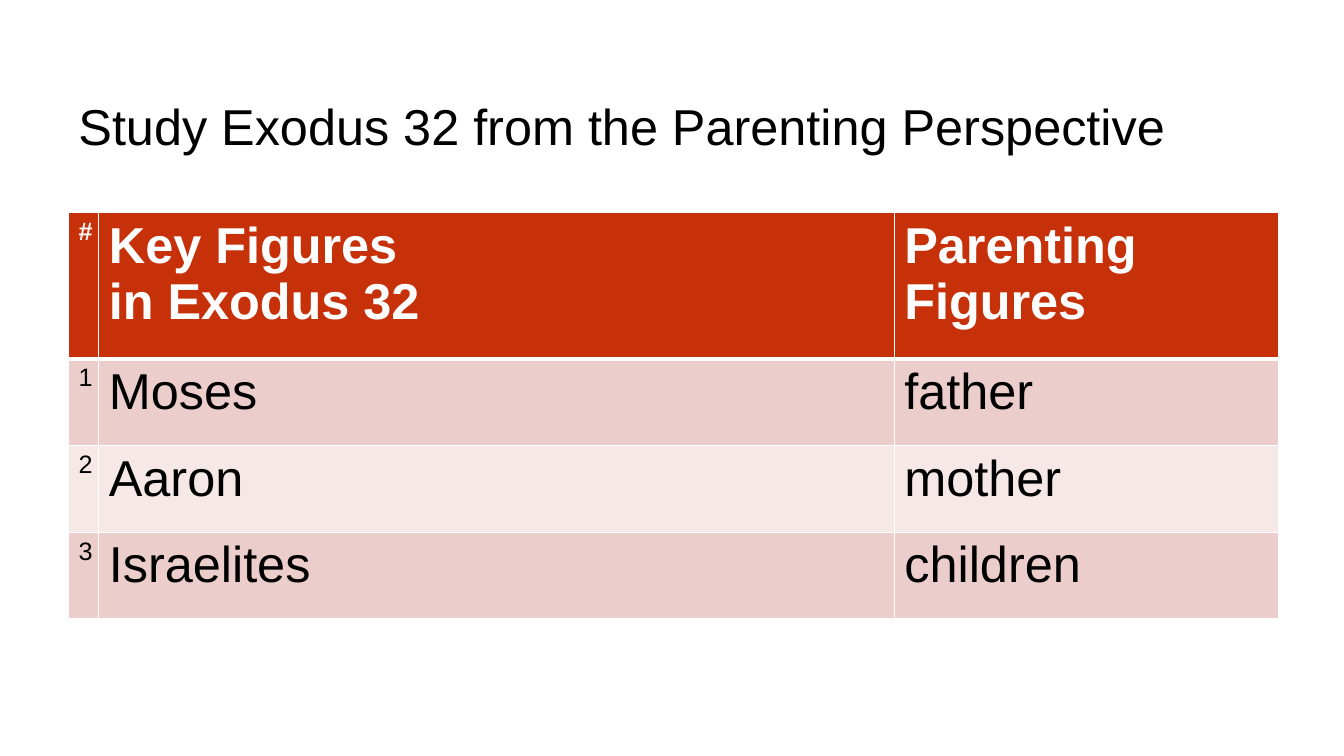
from lxml.etree import SubElement
from pptx import Presentation
from pptx.dml.color import RGBColor
from pptx.enum.text import MSO_ANCHOR
from pptx.oxml.ns import qn
from pptx.util import Inches, Pt

BLACK = RGBColor(0x00, 0x00, 0x00)
WHITE = RGBColor(0xFF, 0xFF, 0xFF)
RED = RGBColor(0xC7, 0x31, 0x09)
PINK = RGBColor(0xEB, 0xCE, 0xCC)
PALE = RGBColor(0xF5, 0xE8, 0xE7)

ROWS = [
    ("#", "Key Figures\nin Exodus 32", "Parenting Figures"),
    ("1", "Moses", "father"),
    ("2", "Aaron", "mother"),
    ("3", "Israelites", "children"),
]
COL_WIDTHS = [0.3, 7.89, 3.81]
ROW_HEIGHTS = [1.45, 0.86, 0.86, 0.86]


class Deck:
    font = "Arial"
    large = 36
    small = 18

    def __init__(self):
        self.prs = Presentation()
        self.prs.slide_width = Inches(13.33)
        self.prs.slide_height = Inches(7.5)
        self.s = self.prs.slides.add_slide(self.prs.slide_layouts[6])

    def add_text(self, tf, text, size, color, bold=False):
        for i, line in enumerate(text.split("\n")):
            p = tf.add_paragraph() if i else tf.paragraphs[0]
            r = p.add_run()
            r.text = line
            r.font.name = self.font
            r.font.size = Pt(size)
            r.font.bold = bold
            r.font.color.rgb = color

    def title(self, text, x, y, w, h):
        tf = self.s.shapes.add_textbox(Inches(x), Inches(y), Inches(w), Inches(h)).text_frame
        tf.word_wrap = True
        tf.vertical_anchor = MSO_ANCHOR.MIDDLE
        self.add_text(tf, text, self.large, BLACK)

    def borders(self, cell, top, bottom):
        tcPr = cell._tc.get_or_add_tcPr()
        for tag, width in (("lnL", 1), ("lnR", 1), ("lnT", top), ("lnB", bottom)):
            ln = SubElement(tcPr, qn(f"a:{tag}"), w=str(Pt(width)))
            fill = SubElement(ln, qn("a:solidFill"))
            SubElement(fill, qn("a:srgbClr"), val=str(WHITE))

    def table(self, rows, x, y, widths, heights):
        frame = self.s.shapes.add_table(
            len(rows), len(widths), Inches(x), Inches(y),
            Inches(sum(widths)), Inches(sum(heights)))
        table = frame.table
        for col, w in zip(table.columns, widths):
            col.width = Inches(w)
        for i, (row, h) in enumerate(zip(rows, heights)):
            table.rows[i].height = Inches(h)
            header = i == 0
            for j, text in enumerate(row):
                cell = table.cell(i, j)
                self.borders(cell, 3 if i == 1 else 1, 3 if header else 1)
                cell.fill.solid()
                cell.fill.fore_color.rgb = RED if header else PINK if i % 2 else PALE
                size = self.large if j else self.small
                self.add_text(cell.text_frame, text, size, WHITE if header else BLACK, header)


def main():
    deck = Deck()
    deck.title("Study Exodus 32 from the Parenting Perspective", 0.68, 0.92, 12, 0.64)
    deck.table(ROWS, 0.68, 2.11, COL_WIDTHS, ROW_HEIGHTS)
    deck.prs.save("out.pptx")


if __name__ == "__main__":
    main()
